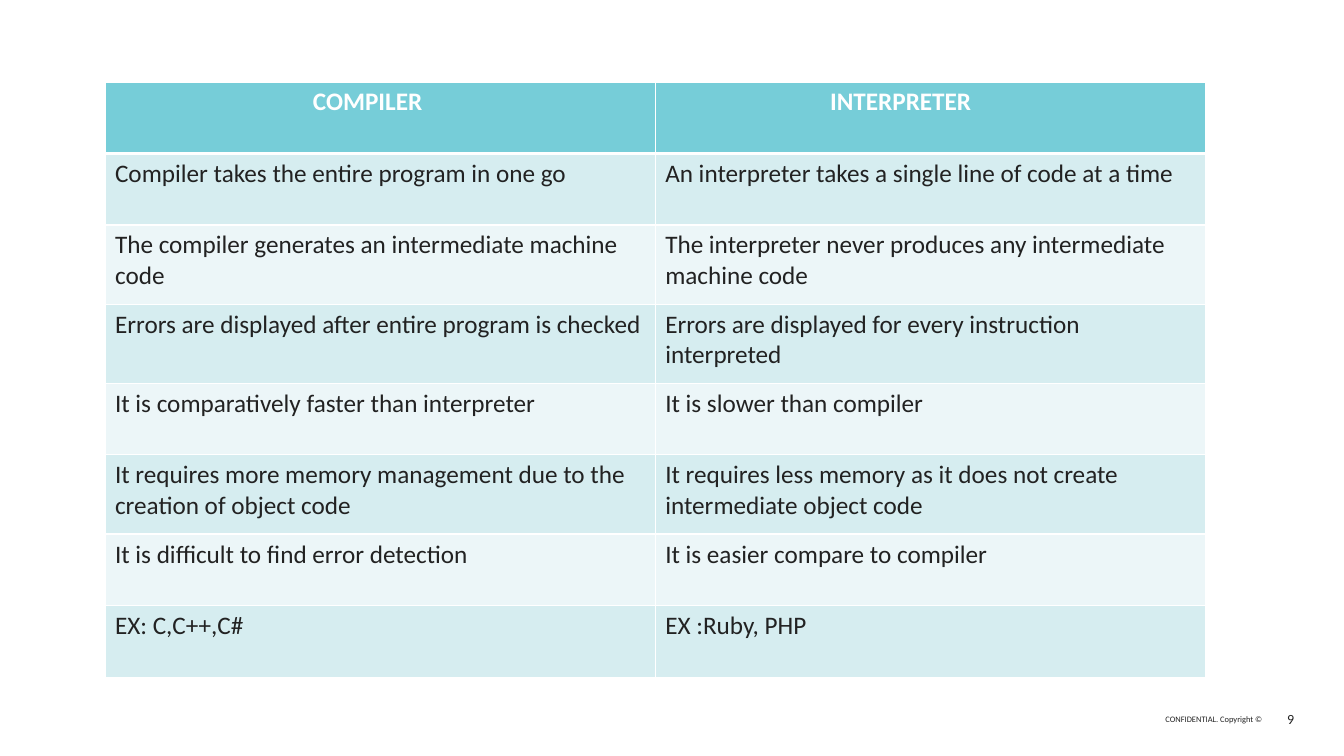
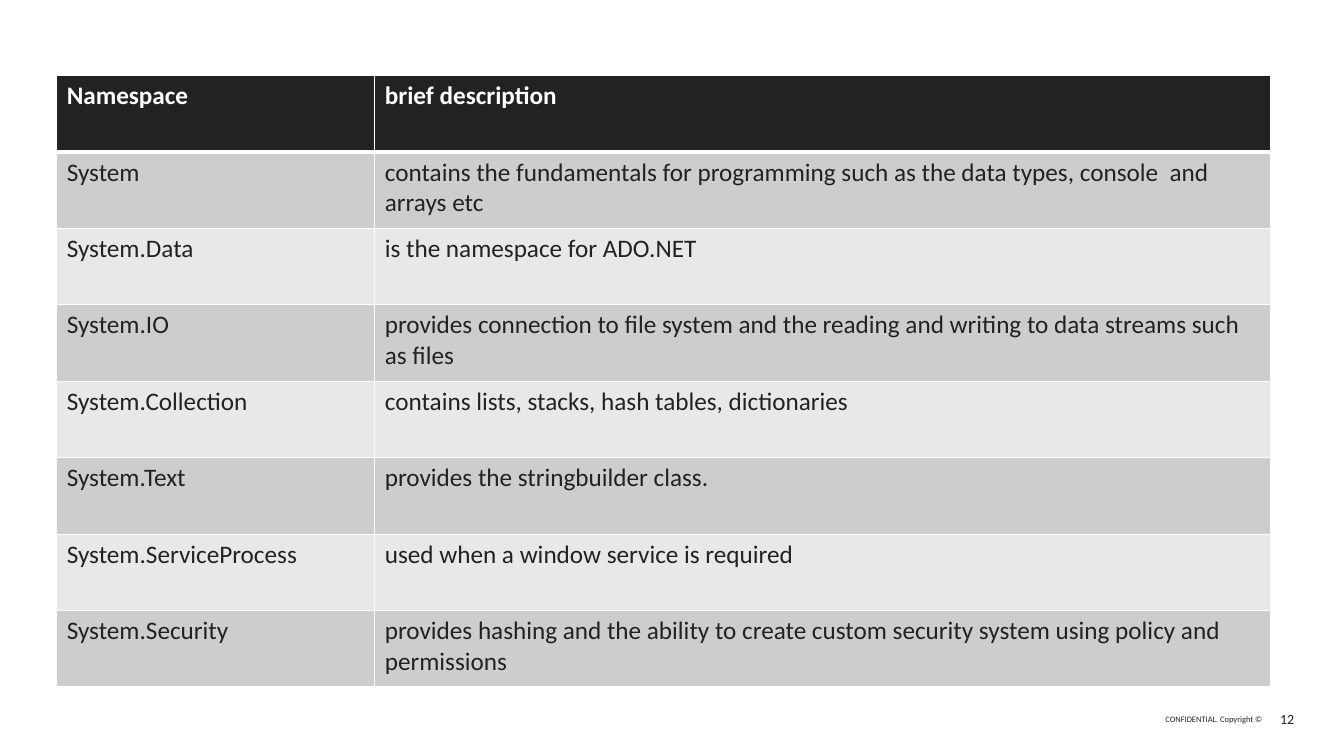
from dataclasses import dataclass

from lxml.etree import SubElement
from pptx import Presentation
from pptx.dml.color import RGBColor
from pptx.enum.text import MSO_ANCHOR, PP_ALIGN
from pptx.oxml.ns import qn
from pptx.util import Pt


@dataclass(frozen=True)
class Theme:
    font: str = "Calibri"
    ink: str = "222222"
    white: str = "FFFFFF"
    teal: tuple = ("76CDD8", "D6EDF0", "ECF6F8")  # header, odd rows, even rows
    gray: tuple = ("222222", "CDCDCD", "E8E8E8")
    body: int = 18
    number: int = 10
    legal: int = 6
    thin: int = 1
    thick: int = 3


theme = Theme()


def style(frame, size, color, bold=False):
    font = frame.paragraphs[0].runs[0].font
    font.name = theme.font
    font.size = Pt(size)
    font.bold = bold
    font.color.rgb = RGBColor.from_string(color)


def edge(cell, side, width):
    """Draw one white cell border; side is L, R, T or B."""
    props = cell._tc.get_or_add_tcPr()
    line = SubElement(props, qn("a:ln" + side), w=str(Pt(width)))
    fill = SubElement(line, qn("a:solidFill"))
    SubElement(fill, qn("a:srgbClr"), val=theme.white)


languages = [
    ("COMPILER", "INTERPRETER"),
    ("Compiler takes the entire program in one go",
     "An interpreter takes a single line of code at a time"),
    ("The compiler generates an intermediate machine code",
     "The interpreter never produces any intermediate machine code"),
    ("Errors are displayed after entire program is checked",
     "Errors are displayed for every instruction interpreted"),
    ("It is comparatively faster than interpreter", "It is slower than compiler"),
    ("It requires more memory management due to the creation of object code",
     "It requires less memory as it does not create intermediate object code"),
    ("It is difficult to find error detection", "It is easier compare to compiler"),
    ("EX: C,C++,C#", "EX :Ruby, PHP"),
]
spaces = [
    ("Namespace", "brief description"),
    ("System", "contains the fundamentals for programming such as the data types, "
     "console  and arrays etc"),
    ("System.Data", "is the namespace for ADO.NET"),
    ("System.IO", "provides connection to file system and the reading and writing "
     "to data streams such as files"),
    ("System.Collection", "contains lists, stacks, hash tables, dictionaries"),
    ("System.Text", "provides the stringbuilder class."),
    ("System.ServiceProcess", "used when a window service is required"),
    ("System.Security", "provides hashing and the ability to create custom security "
     "system using policy and permissions"),
]

# number, texts, fills, left, top, column widths, row heights, header insets
low, high = 51.1, 56.6
pages = [
    (9, languages, theme.teal, 75, 58.5, (393, 393),
     (low, low, high, high, low, high, low, low), (148.5, 125)),
    (12, spaces, theme.gray, 40.5, 54, (227.2, 640), (54.6,) * 8, (7.2, 7.2)),
]

deck = Presentation()
deck.slide_width, deck.slide_height = Pt(960), Pt(540)

for number, texts, fills, left, top, widths, heights, insets in pages:
    slide = deck.slides.add_slide(deck.slide_layouts[6])

    footer = [
        ("CONFIDENTIAL. Copyright ©", 827.3, 74.2, theme.legal),
        (str(number), 905, 19.5, theme.number),
    ]
    for text, x, width, size in footer:
        box = slide.shapes.add_textbox(Pt(x), Pt(504.7), Pt(width), Pt(17.3))
        frame = box.text_frame
        frame.margin_left = frame.margin_right = 0
        frame.margin_top = frame.margin_bottom = 0
        frame.word_wrap = True
        frame.vertical_anchor = MSO_ANCHOR.MIDDLE
        frame.text = text
        frame.paragraphs[0].alignment = PP_ALIGN.RIGHT
        style(frame, size, theme.ink)

    table = slide.shapes.add_table(
        len(texts), len(widths), Pt(left), Pt(top),
        Pt(sum(widths)), Pt(sum(heights))).table
    table.horz_banding = False
    for column, width in zip(table.columns, widths):
        column.width = Pt(width)

    for r, (row, height) in enumerate(zip(table.rows, heights)):
        row.height = Pt(height)
        head = r == 0
        shade = fills[0] if head else fills[1 if r % 2 else 2]
        for c, cell in enumerate(row.cells):
            cell.text_frame.text = texts[r][c]
            style(cell.text_frame, theme.body,
                  theme.white if head else theme.ink, head)
            if head:
                cell.margin_left = Pt(insets[c])
            edge(cell, "L", theme.thin)
            edge(cell, "R", theme.thin)
            edge(cell, "T", theme.thick if r == 1 else theme.thin)
            edge(cell, "B", theme.thick if head else theme.thin)
            cell.fill.solid()
            cell.fill.fore_color.rgb = RGBColor.from_string(shade)

deck.save("out.pptx")
